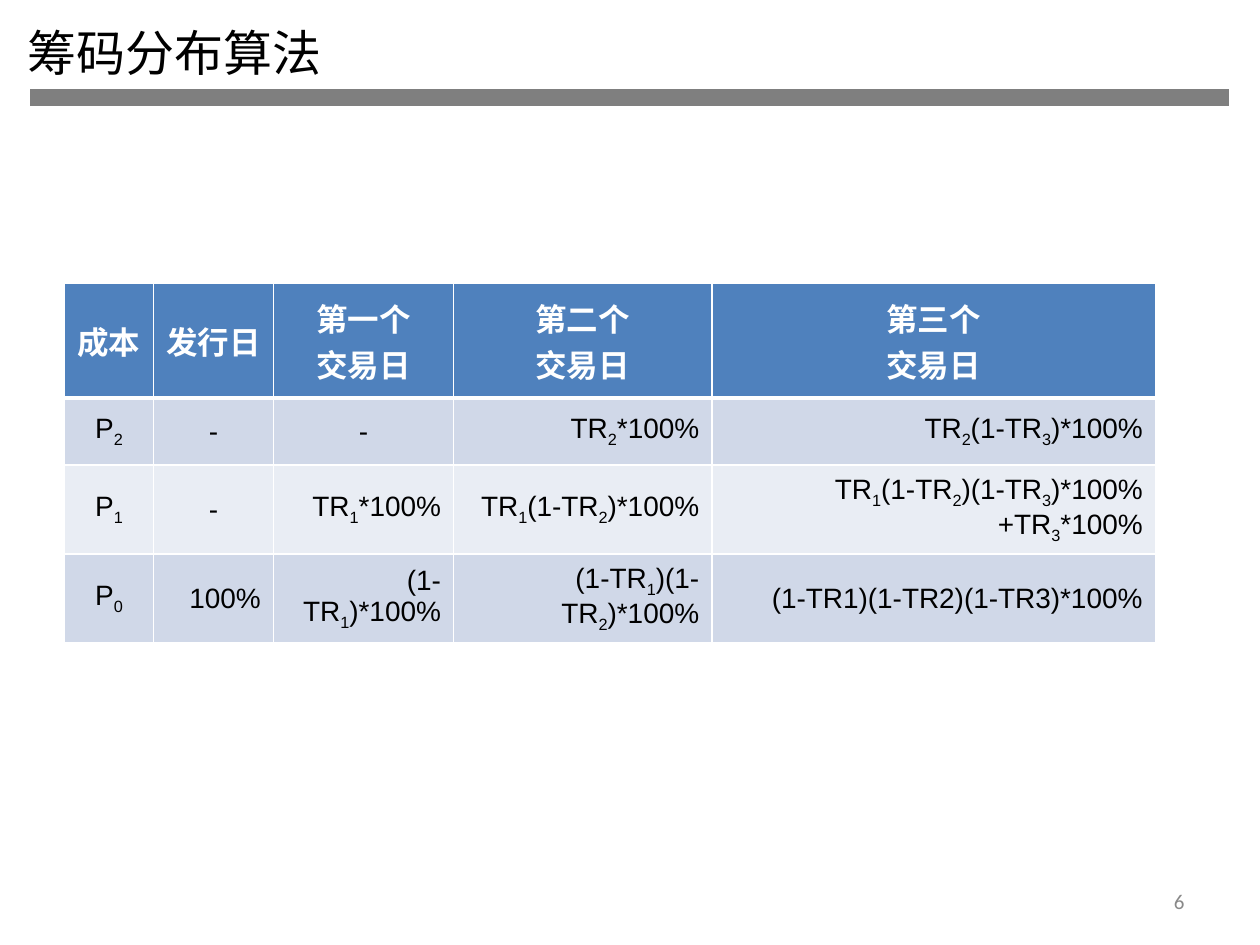
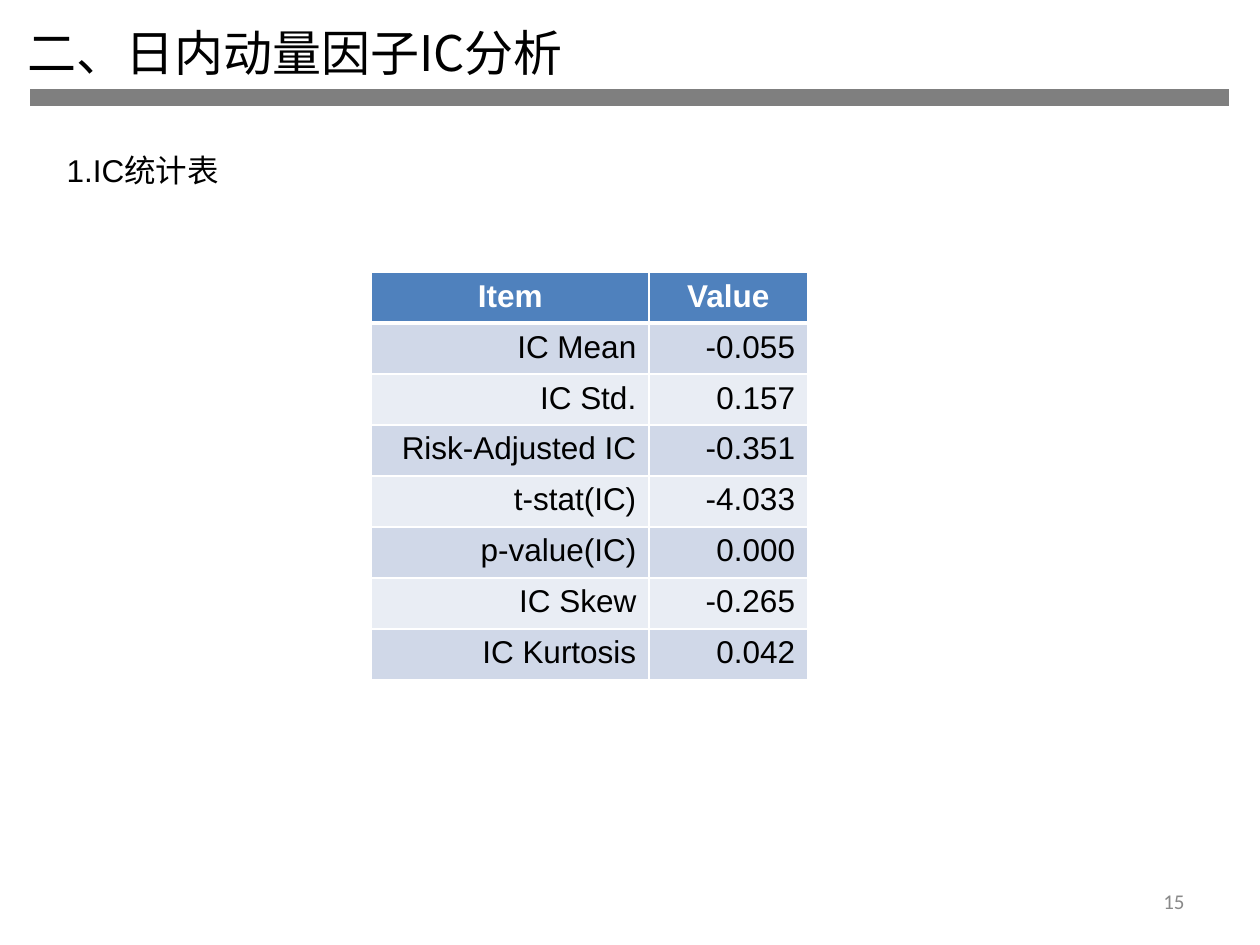
from dataclasses import dataclass

import lxml.etree
import pptx
import pptx.dml.color
import pptx.enum.text
import pptx.oxml.ns
import pptx.util

Inches = pptx.util.Inches
Color = pptx.dml.color.RGBColor
Align = pptx.enum.text.PP_ALIGN
Anchor = pptx.enum.text.MSO_ANCHOR
Fit = pptx.enum.text.MSO_AUTO_SIZE
qn = pptx.oxml.ns.qn

WHITE = Color(0xFF, 0xFF, 0xFF)
BLACK = Color(0x00, 0x00, 0x00)
BAND = Color(0x7F, 0x7F, 0x7F)
FOOT = Color(0x89, 0x89, 0x89)
HEAD = Color(0x4F, 0x81, 0xBD)
ROWS = (Color(0xE9, 0xED, 0xF4), Color(0xD0, 0xD8, 0xE8))
HAN = "Noto Sans CJK SC"
THIN, THICK = 1, 3


@dataclass(frozen=True)
class Look:
    size: float
    color: Color = BLACK
    face: str = "Arial"
    bold: bool = False
    align: Align = Align.LEFT


@dataclass(frozen=True)
class Box:
    left: float
    top: float
    width: float
    height: float

    def sides(self) -> list:
        return [Inches(n) for n in (self.left, self.top, self.width, self.height)]


@dataclass(frozen=True)
class Grid:
    box: Box
    cols: tuple
    rows: tuple
    size: float
    anchor: Anchor
    cells: tuple


TITLE = Look(28, face=HAN, align=Align.JUSTIFY)
NUMBER = Look(12, FOOT, "Calibri", align=Align.RIGHT)
LABEL = Look(18)
HEADER = Look(18, WHITE, bold=True, align=Align.CENTER)

CHIPS = Grid(
    Box(0.51, 2.25, 8.66, 2.5), (0.71, 0.95, 1.43, 2.05, 3.52),
    (0.91, 0.53, 0.53, 0.53), 16, Anchor.MIDDLE,
    (
        ("成本", "发行日", "第一个\n交易日", "第二个\n交易日", "第三个\n交易日"),
        ("P_2", "-", "-", "TR_2*100%", "TR_2(1-TR_3)*100%"),
        ("P_1", "-", "TR_1*100%", "TR_1(1-TR_2)*100%",
         "TR_1(1-TR_2)(1-TR_3)*100%+TR_3*100%"),
        ("P_0", "100%", "(1-TR_1)*100%", "(1-TR_1)(1-TR_2)*100%",
         "(1-TR1)(1-TR2)(1-TR3)*100%"),
    ),
)
STATS = Grid(
    Box(2.95, 2.16, 3.46, 3.24), (2.2, 1.26), (0.405,) * 8, 18, Anchor.TOP,
    (
        ("Item", "Value"),
        ("IC Mean", "-0.055"),
        ("IC Std.", "0.157"),
        ("Risk-Adjusted IC", "-0.351"),
        ("t-stat(IC)", "-4.033"),
        ("p-value(IC)", "0.000"),
        ("IC Skew", "-0.265"),
        ("IC Kurtosis", "0.042"),
    ),
)


def assign(item, values: dict) -> None:
    for name, value in values.items():
        setattr(item, name, value)


def add_run(para, text: str, look: Look, lowered: bool = False) -> None:
    run = para.add_run()
    run.text = text
    assign(run.font, {"size": pptx.util.Pt(look.size), "name": look.face,
                      "bold": look.bold})
    run.font.color.rgb = look.color
    props = run._r.get_or_add_rPr()
    lxml.etree.SubElement(props, qn("a:ea")).set("typeface", HAN)
    if lowered:
        props.set("baseline", "-25000")


def write(frame, text: str, look: Look) -> None:
    for place, line in enumerate(text.split("\n")):
        para = frame.add_paragraph() if place else frame.paragraphs[0]
        para.alignment = look.align
        first, *others = line.split("_")
        add_run(para, first, look)
        for part in others:
            add_run(para, part[0], look, True)
            if part[1:]:
                add_run(para, part[1:], look)


def add_text(slide, box: Box, text: str, look: Look, **values) -> None:
    frame = slide.shapes.add_textbox(*box.sides()).text_frame
    assign(frame, {"word_wrap": True, **values})
    write(frame, text, look)


def paint(cell, fill: Color, top: int = THIN, base: int = THIN) -> None:
    cell.fill.solid()
    cell.fill.fore_color.rgb = fill
    props = cell._tc.get_or_add_tcPr()
    edges = {"L": THIN, "R": THIN, "T": top, "B": base}
    for place, (side, width) in enumerate(edges.items()):
        line = lxml.etree.Element(qn(f"a:ln{side}"), w=str(pptx.util.Pt(width)))
        solid = lxml.etree.SubElement(line, qn("a:solidFill"))
        lxml.etree.SubElement(solid, qn("a:srgbClr")).set("val", str(WHITE))
        props.insert(place, line)


def add_band(slide) -> None:
    box = Box(0.23, 0.7, 9.53, 0.16)
    cell = slide.shapes.add_table(1, 1, *box.sides()).table.cell(0, 0)
    sides = ("left", "top", "right", "bottom")
    assign(cell, {f"margin_{side}": 0 for side in sides})
    para = cell.text_frame.paragraphs[0]._p
    lxml.etree.SubElement(para, qn("a:endParaRPr")).set("sz", "100")
    paint(cell, BAND, base=THICK)


def add_grid(slide, grid: Grid) -> None:
    size = len(grid.rows), len(grid.cols)
    table = slide.shapes.add_table(*size, *grid.box.sides()).table
    for col, width in zip(table.columns, grid.cols):
        col.width = Inches(width)
    for row, height in zip(table.rows, grid.rows):
        row.height = Inches(height)
    for r, texts in enumerate(grid.cells):
        for c, text in enumerate(texts):
            cell = table.cell(r, c)
            cell.vertical_anchor = grid.anchor
            if r == 0:
                look = HEADER
            else:
                mid = text == "-" or text.startswith("P_")
                look = Look(grid.size, align=Align.CENTER if mid else Align.RIGHT)
            write(cell.text_frame, text, look)
            paint(cell, ROWS[r % 2] if r else HEAD,
                  THICK if r == 1 else THIN, THIN if r else THICK)


def add_page(deck, title: str, number: str):
    slide = deck.slides.add_slide(deck.slide_layouts[5])
    add_band(slide)
    head = slide.shapes.title
    places = Box(0.12, 0.13, 5.51, 0.57).sides()
    assign(head, dict(zip(("left", "top", "width", "height"), places)))
    assign(head.text_frame, {"vertical_anchor": Anchor.TOP, "word_wrap": True,
                             "auto_size": Fit.SHAPE_TO_FIT_TEXT})
    write(head.text_frame, title, TITLE)
    add_text(slide, Box(7.17, 6.95, 2.33, 0.4), number, NUMBER,
             vertical_anchor=Anchor.MIDDLE)
    return slide


def main() -> None:
    deck = pptx.Presentation()
    assign(deck, {"slide_width": Inches(10), "slide_height": Inches(7.5)})
    add_grid(add_page(deck, "筹码分布算法", "6"), CHIPS)
    stats = add_page(deck, "二、日内动量因子IC分析", "15")
    add_text(stats, Box(0.43, 1.15, 1.57, 0.4), "1.IC统计表", LABEL,
             auto_size=Fit.SHAPE_TO_FIT_TEXT)
    add_grid(stats, STATS)
    deck.save("out.pptx")


if __name__ == "__main__":
    main()
